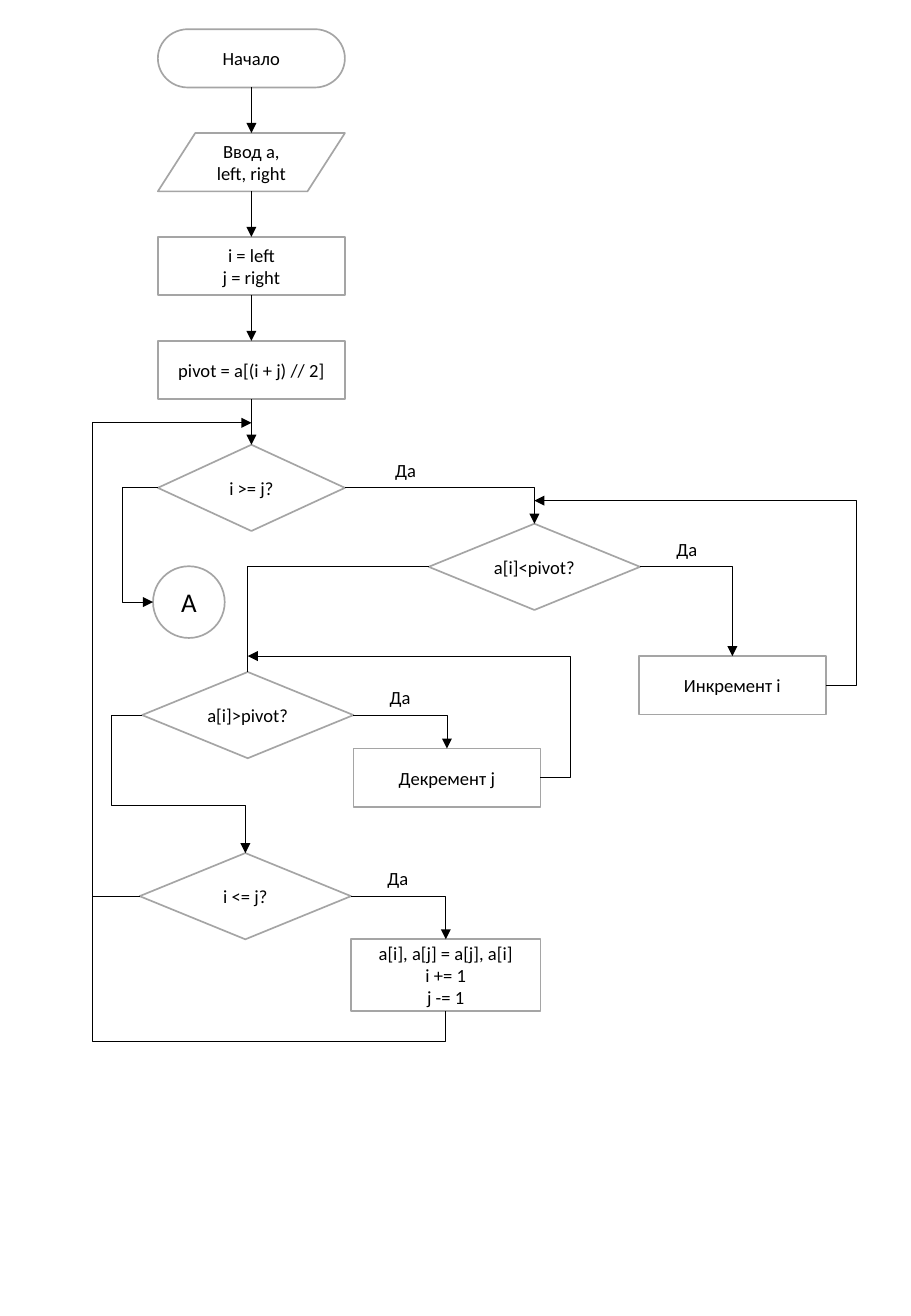
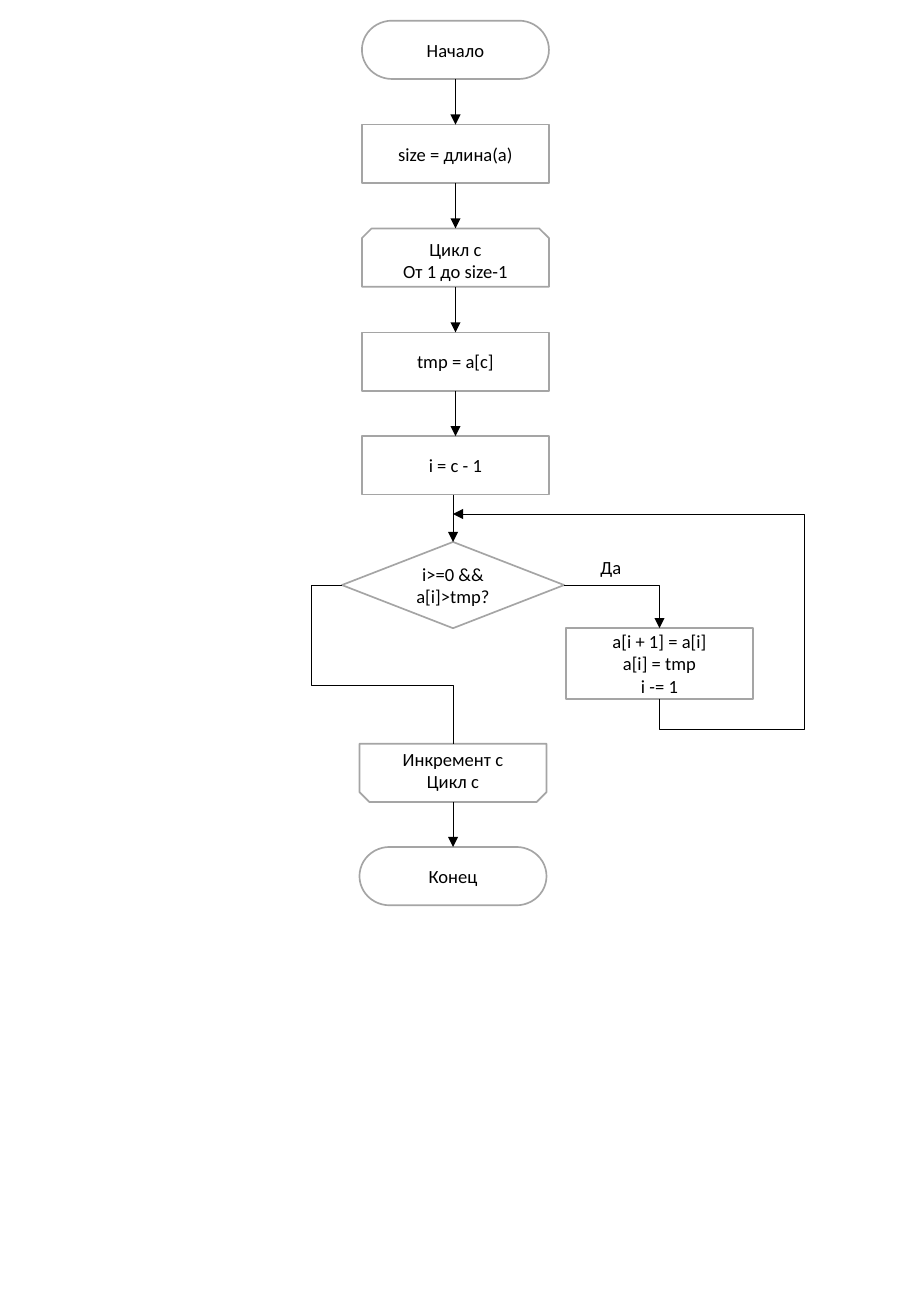
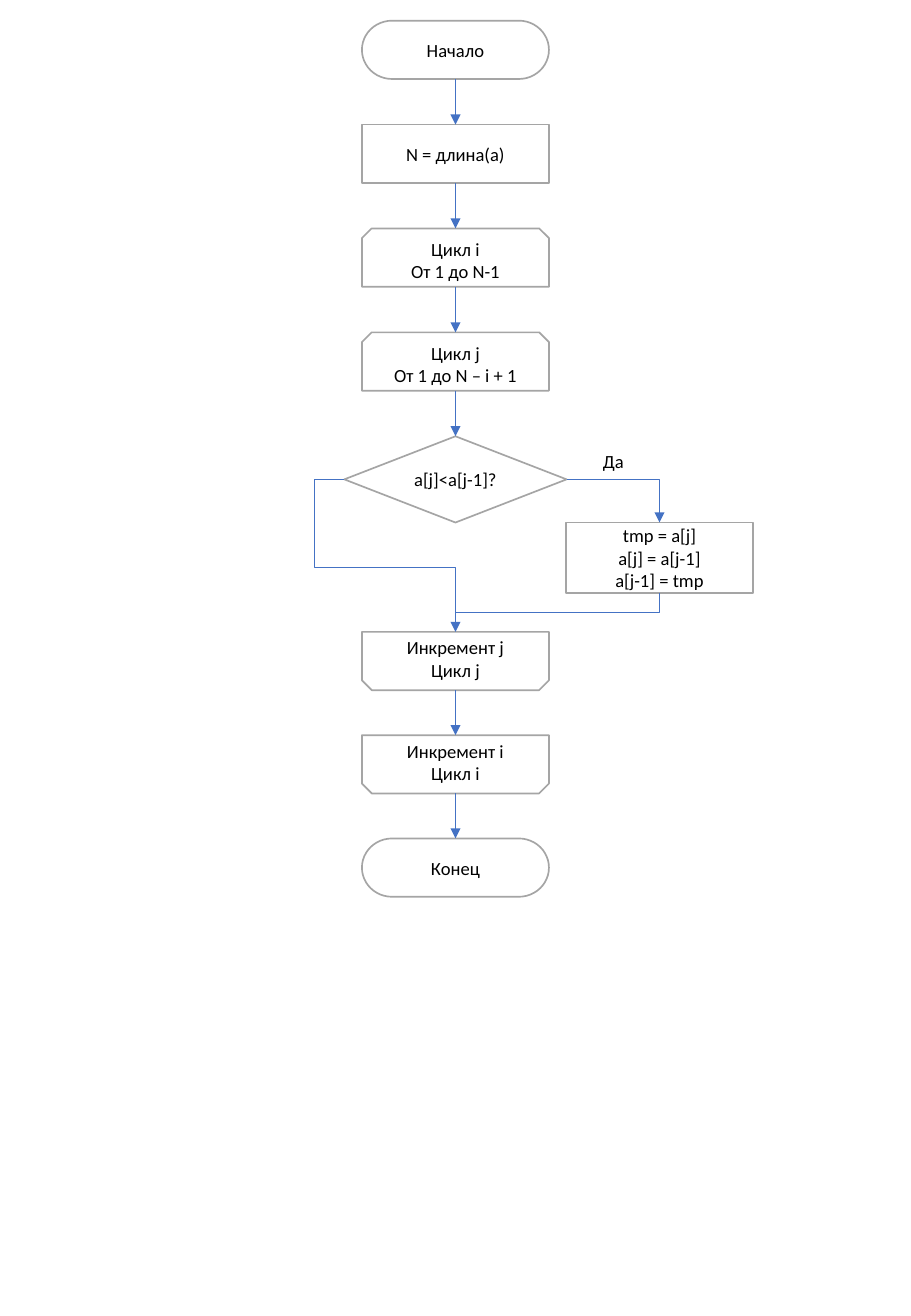
import dataclasses

import pptx
import pptx.dml.color
import pptx.enum.shapes
import pptx.enum.text
import pptx.oxml.ns
import pptx.util
from lxml import etree

CELL = 0.1
COLUMNS, ROWS = 75, 108.3
FONT, TEXT_SIZE = "Calibri", 11
INK, PAPER, OUTLINE, BLUE = "000000", "FFFFFF", "A5A5A5", "4472C4"
BLOCK_WIDTH, BLOCK_HEIGHT, DECISION_HEIGHT = 15.4, 4.8, 7.1
PITCH, END_PITCH, DETOUR, LABEL_RISE = 8.55, 8.5, 2.5, 2.9
SNIP = 0.17

KIND = pptx.enum.shapes.MSO_SHAPE
TERMINATOR = KIND.FLOWCHART_TERMINATOR
PROCESS = KIND.FLOWCHART_PROCESS
DECISION = KIND.FLOWCHART_DECISION
INPUT = KIND.FLOWCHART_DATA
LOOP = KIND.SNIP_2_SAME_RECTANGLE


@dataclasses.dataclass
class Block:
    cx: float
    top: float
    width: float
    height: float

    @property
    def left(self):
        return self.cx - self.width / 2

    @property
    def right(self):
        return self.cx + self.width / 2

    @property
    def bottom(self):
        return self.top + self.height

    @property
    def cy(self):
        return self.top + self.height / 2


def grid(cells):
    return pptx.util.Inches(cells * CELL)


def colour(value):
    return pptx.dml.color.RGBColor.from_string(value)


def write(frame, text, size=TEXT_SIZE, ink=INK, anchor="MIDDLE"):
    frame.word_wrap = True
    frame.vertical_anchor = getattr(pptx.enum.text.MSO_ANCHOR, anchor)
    for number, words in enumerate(text.split("\n")):
        paragraph = frame.add_paragraph() if number else frame.paragraphs[0]
        paragraph.alignment = pptx.enum.text.PP_ALIGN.CENTER
        run = paragraph.add_run()
        run.text = words
        run.font.name = FONT
        run.font.size = pptx.util.Pt(size)
        run.font.color.rgb = colour(ink)


def child(parent, tag, **attributes):
    return etree.SubElement(parent, pptx.oxml.ns.qn(tag), **attributes)


class Flowchart:
    def __init__(self, deck, ink):
        self.shapes = deck.slides.add_slide(deck.slide_layouts[6]).shapes
        self.ink = ink

    def block(self, kind, text, cx, top, width=BLOCK_WIDTH, height=BLOCK_HEIGHT,
              size=TEXT_SIZE, loop_end=False):
        place = Block(cx, top, width, height)
        drawn = self.shapes.add_shape(
            kind, grid(place.left), grid(top), grid(width), grid(height))
        drawn.shadow.inherit = False
        drawn.fill.solid()
        drawn.fill.fore_color.rgb = colour(PAPER)
        drawn.line.color.rgb = colour(OUTLINE)
        drawn.line.width = pptx.util.Pt(1)
        if loop_end:
            drawn.adjustments[0], drawn.adjustments[1] = 0, SNIP
        write(drawn.text_frame, text, size=size)
        return place

    def decision(self, text, cx, top, width):
        return self.block(DECISION, text, cx, top, width, DECISION_HEIGHT)

    def column(self, cx, top, steps, pitch=PITCH, **options):
        blocks = [self.block(kind, text, cx, top + row * pitch, **options)
                  for row, (kind, text) in enumerate(steps)]
        for upper, lower in zip(blocks, blocks[1:]):
            self.descend(upper, lower)
        return blocks

    def descend(self, upper, lower):
        self.flow((upper.cx, upper.bottom), (upper.cx, lower.top))

    def flow(self, *points, arrow=True):
        (x0, y0), (x1, y1) = points[0], points[-1]
        bends = len(points) - 2
        start, end = points[0], points[-1]
        upright = bends > 0 and points[1][0] == x0
        dx, dy = x1 - x0, y1 - y0
        if upright:
            cx, cy = (x0 + x1) / 2, (y0 + y1) / 2
            start = cx - dy / 2, cy + dx / 2
            end = cx + dy / 2, cy - dx / 2
        connector = pptx.enum.shapes.MSO_CONNECTOR
        style = connector.ELBOW if bends else connector.STRAIGHT
        line = self.shapes.add_connector(style, *map(grid, start + end))
        line.line.color.rgb = colour(self.ink)
        line.line.width = pptx.util.Pt(0.5)
        properties = line._element.spPr
        if upright:
            properties.find(pptx.oxml.ns.qn("a:xfrm")).set("rot", "5400000")
        if bends:
            self.bend(properties, points, upright, dx, dy)
        if arrow:
            child(properties.find(pptx.oxml.ns.qn("a:ln")), "a:tailEnd", type="triangle")
        child(properties, "a:effectLst")

    def bend(self, properties, points, upright, dx, dy):
        geometry = properties.find(pptx.oxml.ns.qn("a:prstGeom"))
        geometry.set("prst", f"bentConnector{len(points) - 1}")
        guides = geometry.find(pptx.oxml.ns.qn("a:avLst"))
        (x0, y0) = points[0]
        for number, (x, y) in enumerate(points[1:-2], 1):
            across = (number % 2 == 1) != upright
            share = (x - x0) / dx if across else (y - y0) / dy
            child(guides, "a:gd", name=f"adj{number}", fmla=f"val {round(share * 100000)}")

    def yes(self, question, action, label_width=7.7):
        self.flow((question.right, question.cy), (action.cx, question.cy),
                  (action.cx, action.top))
        label = self.shapes.add_textbox(
            grid(question.right), grid(question.cy - LABEL_RISE),
            grid(label_width), grid(LABEL_RISE))
        write(label.text_frame, "Да", anchor="TOP")

    def no(self, question, turn, cx, bottom, arrow=True):
        side = question.left - DETOUR
        self.flow((question.left, question.cy), (side, question.cy), (side, turn),
                  (cx, turn), (cx, bottom), arrow=arrow)

    def repeat(self, action, cx, row):
        side = action.right + DETOUR
        self.flow((action.right, action.cy), (side, action.cy), (side, row), (cx, row))


def quick_sort(deck):
    chart = Flowchart(deck, INK)
    start = chart.column(20.7, 2.4, [
        (TERMINATOR, "Начало"),
        (INPUT, "Ввод a, left, right"),
        (PROCESS, "i = left\nj = right"),
        (PROCESS, "pivot = a[(i + j) // 2]"),
    ])
    crossed = chart.decision("i >= j?", 20.7, 36.6, BLOCK_WIDTH)
    below = chart.decision("a[i]<pivot?", 44, 43.1, 17.4)
    above = chart.decision("a[i]>pivot?", 20.4, 55.3, 17.4)
    ordered = chart.decision("i <= j?", 20.2, 70.2, 17.4)
    increment = chart.block(PROCESS, "Инкремент i", 60.3, 54)
    decrement = chart.block(PROCESS, "Декремент j", 36.8, 61.6)
    swap = chart.block(PROCESS, "a[i], a[j] = a[j], a[i]\ni += 1\nj -= 1",
                       36.7, 77.3, 15.6, 5.9)
    exit_a = chart.block(KIND.OVAL, "А", 15.55, 46.6, 5.9, 5.9, size=16)

    chart.descend(start[-1], crossed)
    chart.yes(crossed, below, label_width=10)
    chart.yes(below, increment)
    chart.yes(above, decrement)
    chart.yes(ordered, swap)
    chart.repeat(increment, below.cx, 41.2)
    chart.repeat(decrement, above.cx, 54)
    chart.no(above, 66.3, ordered.cx, ordered.top)
    chart.flow((below.left, below.cy), (above.cx, below.cy), (above.cx, above.top),
               arrow=False)
    side = crossed.left - 2.9
    chart.flow((crossed.left, crossed.cy), (side, crossed.cy), (side, exit_a.cy),
               (exit_a.left, exit_a.cy))
    margin = 7.6
    chart.flow((ordered.left, ordered.cy), (margin, ordered.cy), (margin, 34.8),
               (crossed.cx, 34.8))
    chart.flow((swap.cx, swap.bottom), (swap.cx, swap.bottom + DETOUR),
               (margin, swap.bottom + DETOUR), (margin, ordered.cy), arrow=False)


def insertion_sort(deck):
    chart = Flowchart(deck, INK)
    start = chart.column(37.5, 1.7, [
        (TERMINATOR, "Начало"),
        (PROCESS, "size = длина(a)"),
        (LOOP, "Цикл c\nОт 1 до size-1"),
        (PROCESS, "tmp = a[c]"),
        (PROCESS, "i = c - 1"),
    ])
    larger = chart.decision("i>=0 && a[i]>tmp?", 37.3, 44.6, 18.3)
    shift = chart.block(PROCESS, "a[i + 1] = a[i]\na[i] = tmp\ni -= 1",
                        54.3, 51.7, height=5.8)
    loop_end = chart.block(LOOP, "Инкремент c\nЦикл c", 37.3, 61.2, loop_end=True)
    finish = chart.block(TERMINATOR, "Конец", 37.3, 61.2 + END_PITCH)

    chart.flow((larger.cx, start[-1].bottom), (larger.cx, larger.top))
    chart.yes(larger, shift)
    chart.no(larger, 56.4, loop_end.cx, loop_end.top, arrow=False)
    chart.descend(loop_end, finish)
    low, side, row = shift.bottom + DETOUR, 66.2, 42.3
    chart.flow((shift.cx, shift.bottom), (shift.cx, low), (side, low), (side, row),
               (larger.cx, row))


def bubble_sort(deck):
    chart = Flowchart(deck, BLUE)
    start = chart.column(37.5, 1.7, [
        (TERMINATOR, "Начало"),
        (PROCESS, "N = длина(a)"),
        (LOOP, "Цикл i\nОт 1 до N-1"),
        (LOOP, "Цикл j\nОт 1 до N – i + 1"),
    ])
    smaller = chart.decision("a[j]<a[j-1]?", 37.5, 35.9, 18.3)
    swap = chart.block(PROCESS, "tmp = a[j]\na[j] = a[j-1]\na[j-1] = tmp",
                       54.3, 43, height=5.8)
    ends = chart.column(37.5, 52, [
        (LOOP, "Инкремент j\nЦикл j"),
        (LOOP, "Инкремент i\nЦикл i"),
    ], pitch=END_PITCH, loop_end=True)
    finish = chart.block(TERMINATOR, "Конец", 37.5, 52 + 2 * END_PITCH)

    chart.descend(start[-1], smaller)
    chart.yes(smaller, swap)
    merge = 50.4
    chart.flow((swap.cx, swap.bottom), (swap.cx, merge), (ends[0].cx, merge),
               (ends[0].cx, ends[0].top))
    chart.no(smaller, 46.7, ends[0].cx, merge, arrow=False)
    chart.descend(ends[-1], finish)


def main():
    deck = pptx.Presentation()
    deck.slide_width, deck.slide_height = grid(COLUMNS), grid(ROWS)
    quick_sort(deck)
    insertion_sort(deck)
    bubble_sort(deck)
    deck.save("out.pptx")


main()
